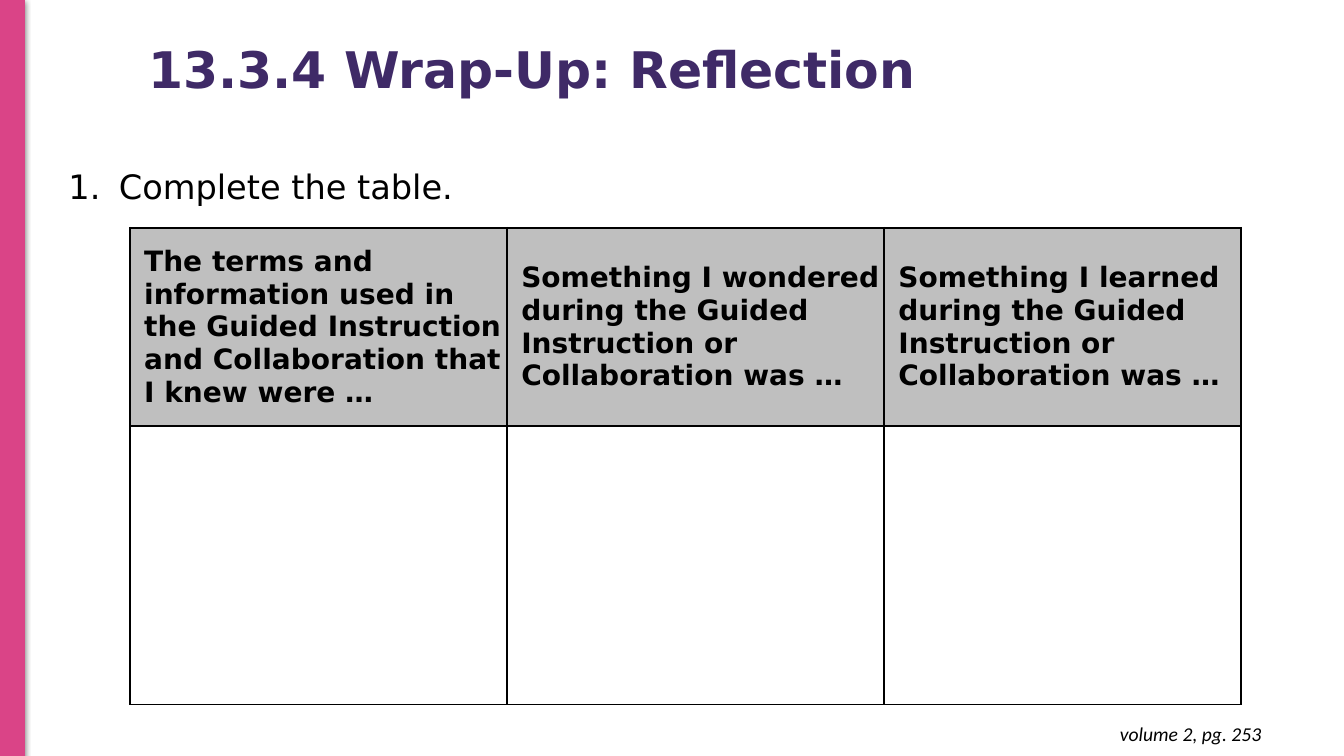
from lxml.etree import SubElement
from pptx import Presentation
from pptx.dml.color import RGBColor
from pptx.enum.shapes import MSO_SHAPE
from pptx.enum.text import MSO_ANCHOR, PP_ALIGN
from pptx.oxml.ns import qn
from pptx.util import Inches, Pt

PINK = RGBColor(0xDA, 0x44, 0x87)
PURPLE = RGBColor(0x3F, 0x2A, 0x67)
BLACK = RGBColor(0x00, 0x00, 0x00)
GREY = RGBColor(0xBF, 0xBF, 0xBF)
SANS = "DejaVu Sans"

SLIDE_WIDTH, SLIDE_HEIGHT = Inches(13.33), Inches(7.5)
COLUMN_SHARES = [28.06, 28.06, 26.56]
ROW_SHARES = [26.27, 36.8]
HEADINGS = [
    "The terms and information used in the Guided Instruction "
    "and Collaboration that I knew were …",
    "Something I wondered during the Guided Instruction or Collaboration was …",
    "Something I learned during the Guided Instruction or Collaboration was …",
]


def across(percent):
    return round(SLIDE_WIDTH * percent / 100)


def down(percent):
    return round(SLIDE_HEIGHT * percent / 100)


def area(left, top, width, height):
    """Turn percentages of the slide into a position and a size."""
    return across(left), down(top), across(width), down(height)


def add_xml(parent, tag, **attributes):
    return SubElement(parent, qn(tag), attributes)


def write(frame, text, size, color=BLACK, font=SANS, bold=False, italic=False,
          align=PP_ALIGN.LEFT, anchor=MSO_ANCHOR.TOP, spacing=1.0,
          margins=(0.1, 0.05), margin_left=0, indent=0, numbered=False):
    frame.word_wrap = True
    frame.vertical_anchor = anchor
    frame.margin_left = frame.margin_right = Inches(margins[0])
    frame.margin_top = frame.margin_bottom = Inches(margins[1])
    para = frame.paragraphs[0]
    para.alignment, para.line_spacing = align, spacing
    properties = para._p.get_or_add_pPr()
    properties.set("marL", str(Inches(margin_left)))
    properties.set("indent", str(Inches(indent)))
    if numbered:
        add_xml(properties, "a:buFont", typeface=font)
        add_xml(properties, "a:buAutoNum", type="arabicPeriod")
    span = para.add_run()
    span.text = text
    span.font.name, span.font.size = font, Pt(size)
    span.font.bold, span.font.italic = bold, italic
    span.font.color.rgb = color


def add_text(page, place, text, size, **style):
    box = page.shapes.add_textbox(*area(*place))
    write(box.text_frame, text, size, **style)


def add_side_bar(page):
    bar = page.shapes.add_shape(MSO_SHAPE.RECTANGLE, *area(0, 0, 1.8, 100.1))
    bar.fill.solid()
    bar.fill.fore_color.rgb = PINK
    bar.line.color.rgb = PINK
    bar.line.width = Pt(0.75)
    bar.shadow.inherit = False
    effects = bar._element.spPr.find(qn("a:effectLst"))
    shadow = add_xml(effects, "a:outerShdw", blurRad=str(Pt(4.5)),
                     dist=str(Pt(1.5)), dir="5400000", rotWithShape="0")
    color = add_xml(shadow, "a:srgbClr", val=str(BLACK))
    add_xml(color, "a:alpha", val="50000")


def add_borders(cell):
    properties = cell._tc.get_or_add_tcPr()
    for side in ("a:lnL", "a:lnR", "a:lnT", "a:lnB"):
        line = add_xml(properties, side, w=str(Pt(1.5)))
        fill = add_xml(line, "a:solidFill")
        add_xml(fill, "a:srgbClr", val=str(BLACK))


def add_reflection_table(page):
    place = area(9.68, 30.13, sum(COLUMN_SHARES), sum(ROW_SHARES))
    table = page.shapes.add_table(len(ROW_SHARES), len(COLUMN_SHARES), *place).table
    table.first_row = table.horz_banding = False
    for column, share in zip(table.columns, COLUMN_SHARES):
        column.width = across(share)
    for row, share in zip(table.rows, ROW_SHARES):
        row.height = down(share)
    for cell in table.iter_cells():
        add_borders(cell)
        cell.fill.background()
    for cell, heading in zip(table.rows[0].cells, HEADINGS):
        cell.fill.solid()
        cell.fill.fore_color.rgb = GREY
        write(cell.text_frame, heading, 20, bold=True, margin_left=0.1)
        cell.vertical_anchor = MSO_ANCHOR.MIDDLE
        cell.margin_left = cell.margin_right = Inches(0.04)
        cell.margin_top = cell.margin_bottom = 0


def main():
    deck = Presentation()
    deck.slide_width, deck.slide_height = SLIDE_WIDTH, SLIDE_HEIGHT
    page = deck.slides.add_slide(deck.slide_layouts[6])
    add_side_bar(page)
    add_text(page, (10.28, -0.13, 65.79, 19.33), "13.3.4 Wrap-Up: Reflection", 36,
             color=PURPLE, bold=True, anchor=MSO_ANCHOR.MIDDLE, spacing=0.9)
    add_text(page, (4.35, 21.33, 68.34, 6.67), "Complete the table.", 24,
             margin_left=0.5, indent=-0.5, numbered=True)
    add_reflection_table(page)
    add_text(page, (73, 94.13, 21.6, 5.87), "volume 2, pg. 253", 14, font="Calibri",
             italic=True, align=PP_ALIGN.RIGHT, margins=(0.1, 0.1))
    deck.save("out.pptx")


if __name__ == "__main__":
    main()
